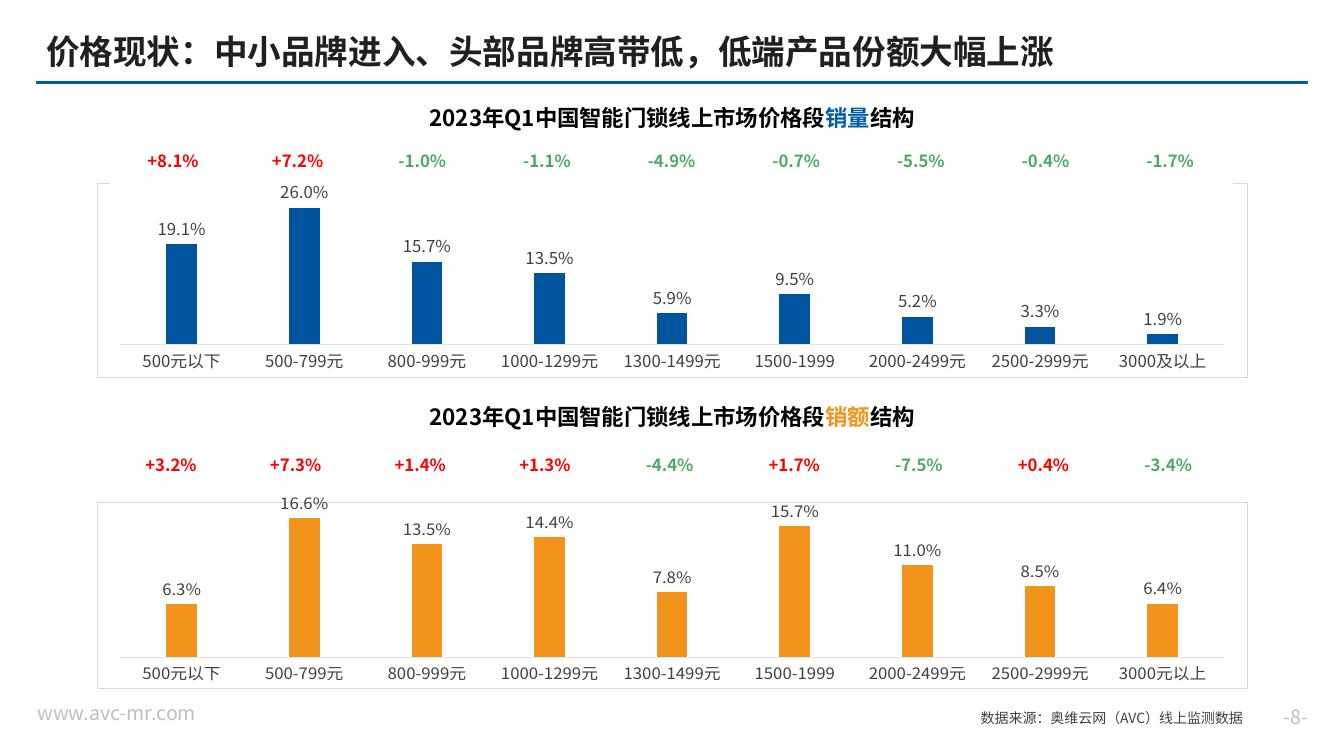
from lxml import etree
from pptx import Presentation
from pptx.chart import data as cd
from pptx.dml.color import RGBColor
from pptx.enum import chart as ce, shapes, text
from pptx.oxml import parse_xml
from pptx.oxml.ns import nsdecls, qn
from pptx.util import Cm, Pt

FONT = "Noto Sans CJK SC"
COLORS = {
    "rule": "005BAC", "volume": "00539E", "value": "F2931C", "up": "FF0000",
    "down": "4BAB62", "title": "202020", "black": "000000", "label": "404040",
    "footer": "BFBFBF", "axis": "E2E2E2", "border": "D9D9D9", "white": "FFFFFF",
}
BANDS = ["500元以下", "500-799元", "800-999元", "1000-1299元", "1300-1499元",
         "1500-1999", "2000-2499元", "2500-2999元"]
CELL_BORDERS = {"lnL": 1, "lnR": 1, "lnT": 1, "lnB": 3}


def rgb(name):
    return RGBColor.from_string(COLORS[name])


def format_font(font, size, color, bold=False):
    font.name, font.size, font.bold = FONT, Pt(size), bold
    font.color.rgb = rgb(color)


def add_text(s, box, runs, size, align="LEFT", bold=False, wrap=True, anchor="TOP"):
    tf = s.shapes.add_textbox(*map(Cm, box)).text_frame
    tf.word_wrap = wrap
    tf.vertical_anchor = text.MSO_ANCHOR[anchor]
    p = tf.paragraphs[0]
    p.alignment = text.PP_ALIGN[align]
    for wording, color in runs:
        r = p.add_run()
        r.text = wording
        format_font(r.font, size, color, bold)


def line_xml(tag, width, color):
    return (f'<{tag} {nsdecls("a")} w="{Pt(width)}"><a:solidFill>'
            f'<a:srgbClr val="{COLORS[color]}"/></a:solidFill></{tag}>')


def add_header(s, box, title):
    x, y, w, h = box
    sp = s.shapes.title
    sp.left, sp.top, sp.width, sp.height = Cm(x), Cm(y), Cm(27.89), Cm(h)
    tf = sp.text_frame
    tf.text = title
    tf.word_wrap = True
    tf.vertical_anchor = text.MSO_ANCHOR.MIDDLE
    p = tf.paragraphs[0]
    p.alignment = text.PP_ALIGN.LEFT
    p.line_spacing = 0.9
    format_font(p.runs[0].font, 24, "title", True)
    rule_y = Cm(y + h + 0.1)
    rule = s.shapes.add_connector(shapes.MSO_CONNECTOR.STRAIGHT,
                                  Cm(x), rule_y, Cm(x + w), rule_y)
    rule.line.color.rgb = rgb("rule")
    rule.line.width = Pt(2.25)
    etree.SubElement(rule.element.spPr, qn("a:effectLst"))


def add_changes(s, box, changes):
    table = s.shapes.add_table(1, len(changes), *map(Cm, box)).table
    table.first_row = table.horz_banding = False
    for cell, change in zip(table.iter_cells(), changes):
        cell.text = f"{change:+.1f}%"
        cell.vertical_anchor = text.MSO_ANCHOR.MIDDLE
        cell.margin_left = cell.margin_right = cell.margin_top = Cm(0.03)
        cell.margin_bottom = Cm(0.13)
        p = cell.text_frame.paragraphs[0]
        p.alignment = text.PP_ALIGN.CENTER
        format_font(p.runs[0].font, 12, "up" if change > 0 else "down", True)
        tcPr = cell._tc.get_or_add_tcPr()
        for side, width in CELL_BORDERS.items():
            tcPr.append(parse_xml(line_xml(f"a:{side}", width, "white")))
        cell.fill.background()


def add_shares(s, box, last_band, shares, color, top_value):
    chart_data = cd.CategoryChartData(number_format="0.0%")
    chart_data.categories = BANDS + [last_band]
    chart_data.add_series("份额", shares)
    chart = s.shapes.add_chart(ce.XL_CHART_TYPE.COLUMN_CLUSTERED,
                               *map(Cm, box), chart_data).chart
    chart.has_legend = chart.has_title = False
    format_font(chart.font, 12, "label")

    cat, val = chart.category_axis, chart.value_axis
    for axis in (cat, val):
        axis.major_tick_mark = axis.minor_tick_mark = ce.XL_TICK_MARK.NONE
        axis.has_major_gridlines = False
        format_font(axis.tick_labels.font, 12, "label")
    cat.format.line.color.rgb = rgb("axis")
    cat.format.line.width = Pt(0.75)
    val.format.line.fill.background()
    val.tick_label_position = ce.XL_TICK_LABEL_POSITION.NONE
    val.minimum_scale, val.maximum_scale = 0, top_value

    plot = chart.plots[0]
    plot.gap_width, plot.overlap, plot.vary_by_categories = 300, -27, False
    fill = plot.series[0].format.fill
    fill.solid()
    fill.fore_color.rgb = rgb(color)
    plot.has_data_labels = True
    labels = plot.data_labels
    labels.show_value = True
    labels.position = ce.XL_LABEL_POSITION.OUTSIDE_END
    labels.number_format, labels.number_format_is_linked = "0.0%", False
    format_font(labels.font, 12, "label")

    chart_xml = chart.element.find(qn("c:chart"))
    chart_xml.addnext(parse_xml(
        f'<c:spPr {nsdecls("c", "a")}><a:noFill/>'
        f'{line_xml("a:ln", 0.75, "border")}</c:spPr>'))
    area = chart_xml.find(qn("c:plotArea"))
    for old in area.findall(qn("c:layout")):
        area.remove(old)
    layout = etree.Element(qn("c:layout"))
    manual = etree.SubElement(layout, qn("c:manualLayout"))
    for tag, setting in (("layoutTarget", "inner"), ("xMode", "edge"), ("yMode", "edge"),
                         ("x", "0.02"), ("y", "0.02"), ("w", "0.96"), ("h", "0.81")):
        etree.SubElement(manual, qn(f"c:{tag}")).set("val", setting)
    area.insert(0, layout)
    set_east_asian_font(chart.element)


def add_section(s, box, measure, accent, table_offset, changes, *chart_args):
    x, y, w, h = box
    dx, dy = table_offset
    heading = [("2023年Q1中国智能门锁线上市场价格段", "black"),
               (measure, accent), ("结构", "black")]
    add_text(s, (x + 4.33, y, w - 8.66, 0.94), heading, 16, "CENTER", True)
    add_shares(s, (x, y + h - 5, w, 5), *chart_args)
    add_changes(s, (x + dx, y + dy, 28.27, 1.04), changes)


def add_footer(s, box):
    x, y, w, h = box
    add_text(s, (x, y, 4.55, 0.86), [("www.avc-mr.com", "footer")], 14, wrap=False)
    add_text(s, (x + w - 7.62, y, 7.62, h), [("-8-", "footer")], 14, "RIGHT", anchor="MIDDLE")
    add_text(s, (x + w - 8.76, y + 0.2, 7.11, 0.69),
             [("数据来源：奥维云网（AVC）线上监测数据", "label")], 10, "RIGHT")


def set_east_asian_font(element):
    for latin in list(element.iter(qn("a:latin"))):
        ea = etree.Element(qn("a:ea"))
        ea.set("typeface", FONT)
        latin.addnext(ea)


def main():
    prs = Presentation()
    prs.slide_width, prs.slide_height = Cm(33.87), Cm(19.05)
    s = prs.slides.add_slide(prs.slide_layouts[5])
    add_header(s, (0.91, 0.74, 32.06, 1.24), "价格现状：中小品牌进入、头部品牌高带低，低端产品份额大幅上涨")
    add_section(s, (2.44, 2.51, 29, 7.01), "销量", "rule", (0.35, 1.05),
                [8.1, 7.2, -1.0, -1.1, -4.9, -0.7, -5.5, -0.4, -1.7],
                "3000及以上",
                [0.191, 0.26, 0.157, 0.135, 0.059, 0.095, 0.052, 0.033, 0.019],
                "volume", 0.3)
    add_section(s, (2.44, 10.03, 29, 7.34), "销额", "value", (0.3, 1.2),
                [3.2, 7.3, 1.4, 1.3, -4.4, 1.7, -7.5, 0.4, -3.4],
                "3000元以上",
                [0.063, 0.166, 0.135, 0.144, 0.078, 0.157, 0.11, 0.085, 0.064],
                "value", 0.18)
    add_footer(s, (0.69, 17.55, 32.53, 1.02))
    set_east_asian_font(s.element)
    prs.save("out.pptx")


if __name__ == "__main__":
    main()
